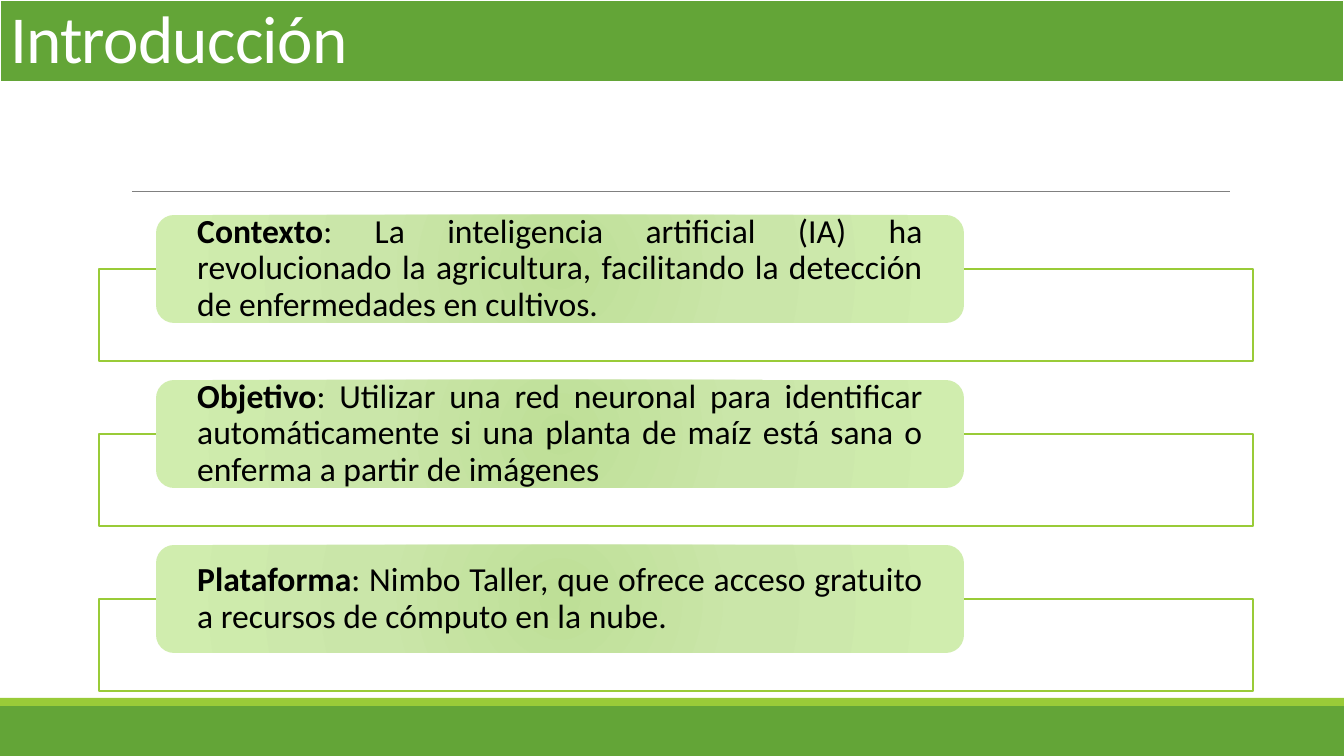
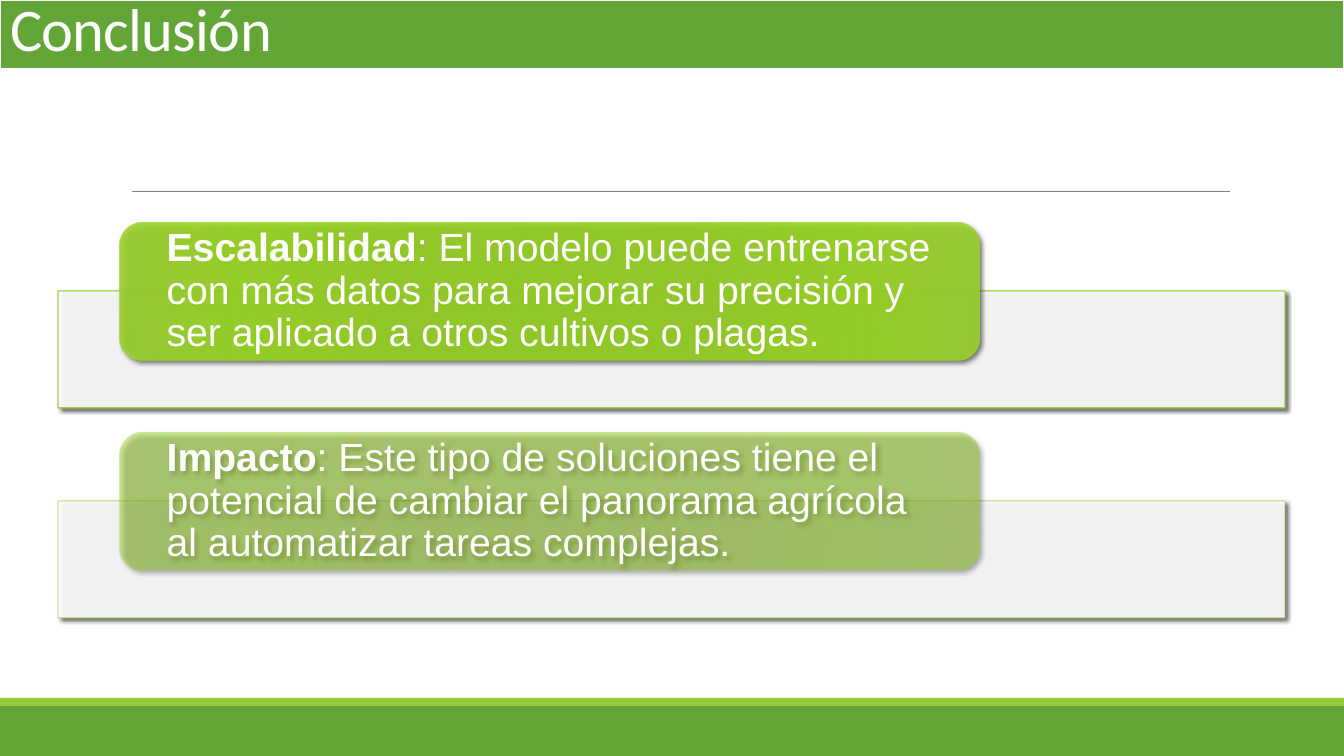
"""Build two slides of overlapping cards beneath a green title band."""
import lxml.etree
import pptx
import pptx.dml.color
import pptx.enum.shapes
import pptx.enum.text
import pptx.oxml.ns
import pptx.util

PX = 9071
GREEN, LIME, GREY, WHITE, BLACK = "63A537", "99CB38", "808080", "FFFFFF", "000000"
NS = 'xmlns:a="http://schemas.openxmlformats.org/drawingml/2006/main"'
KINDS = pptx.enum.shapes.MSO_SHAPE
ALIGN = pptx.enum.text.PP_ALIGN
ANCHOR = pptx.enum.text.MSO_ANCHOR
qn = pptx.oxml.ns.qn
color = pptx.dml.color.RGBColor.from_string


def box(page, kind, x, y, w, h, fill=None, line=None, weight=1, alphas=(), shade=False):
    shape = page.shapes.add_shape(kind, x * PX, y * PX, w * PX, h * PX)
    shape.shadow.inherit = False
    if fill:
        shape.fill.solid()
        shape.fill.fore_color.rgb = color(fill)
    else:
        shape.fill.background()
    if line:
        shape.line.color.rgb = color(line)
        shape.line.width = pptx.util.Pt(weight)
    else:
        shape.line.fill.background()
    props = shape._element.spPr
    for tone, alpha in zip(props.iter(qn("a:srgbClr")), alphas):
        lxml.etree.SubElement(tone, qn("a:alpha"), val=str(alpha * 1000))
    if shade:
        props.find(qn("a:effectLst")).append(lxml.etree.fromstring(
            f'<a:outerShdw {NS} blurRad="38100" dist="25400" dir="2700000" rotWithShape="0">'
            f'<a:srgbClr val="{BLACK}"><a:alpha val="60000"/></a:srgbClr></a:outerShdw>'))
    return shape


def write(shape, *texts, size, font, ink, bold=False, space=0.9, track=0,
          align=ALIGN.LEFT, anchor=ANCHOR.MIDDLE, side=10, edge=0):
    frame = shape.text_frame
    frame.word_wrap = True
    frame.vertical_anchor = anchor
    frame.margin_left = frame.margin_right = side * PX
    frame.margin_top = frame.margin_bottom = edge * PX
    para = frame.paragraphs[0]
    para.alignment = align
    para.line_spacing = space
    for num, text in enumerate(texts):
        run = para.add_run()
        run.text = text
        run.font.size = pptx.util.Pt(size)
        run.font.name = font
        run.font.color.rgb = color(ink)
        run.font.bold = bold and num == 0
        if track:
            run._r.get_or_add_rPr().set("spc", str(track))


PALE = [(0, "BEDF97"), (45, "CAE6A9"), (100, "D0EDAE")]
VIVID = [(0, "95D220"), (34, "96D023"), (70, "99D720"), (100, "9BD231")]
PAGES = [
    dict(title="Introducción", size=48, band=82, stops=PALE, shade=False, pitch=165,
         frame=(99, 269, 1154, 92), card=(156, 215, 808, 108),
         style=dict(size=24, font="Calibri", ink=BLACK, align=ALIGN.JUSTIFY, side=36),
         items=[
             ("Contexto", ": La inteligencia artificial (IA) ha revolucionado la agricultura, "
              "facilitando la detección de enfermedades en cultivos.", 100),
             ("Objetivo", ": Utilizar una red neuronal para identificar automáticamente si una "
              "planta de maíz está sana o enferma a partir de imágenes", 100),
             ("Plataforma", ": Nimbo Taller, que ofrece acceso gratuito a recursos de cómputo "
              "en la nube.", 100)]),
    dict(title="Conclusión", size=43.2, band=69, stops=VIVID, shade=True, pitch=210,
         frame=(58, 291, 1227, 117), card=(120, 223, 859, 137),
         style=dict(size=28, font="Arial", ink=WHITE, side=40),
         items=[
             ("Escalabilidad", ": El modelo puede entrenarse con más datos para mejorar su "
              "precisión y ser aplicado a otros cultivos o plagas.", 90),
             ("Impacto", ": Este tipo de soluciones tiene el potencial de cambiar el panorama "
              "agrícola al automatizar tareas complejas.", 50)]),
]

deck = pptx.Presentation()
deck.slide_width, deck.slide_height = 1344 * PX, 756 * PX

for plan in PAGES:
    page = deck.slides.add_slide(deck.slide_layouts[6])
    box(page, KINDS.RECTANGLE, 0, 706, 1344, 50, GREEN)
    box(page, KINDS.RECTANGLE, 0, 698, 1344, 8, LIME)
    rule = page.shapes.add_connector(pptx.enum.shapes.MSO_CONNECTOR.STRAIGHT,
                                     132 * PX, 191 * PX, 1230 * PX, 191 * PX)
    rule.line.color.rgb = color(GREY)
    rule.line.width = pptx.util.Pt(0.5)
    lxml.etree.SubElement(rule._element.spPr, qn("a:effectLst"))
    band = box(page, KINDS.RECTANGLE, 0, 0, 1344, plan["band"], GREEN, WHITE, 2)
    write(band, plan["title"], size=plan["size"], font="Calibri", ink=WHITE,
          space=0.85, track=-50, anchor=ANCHOR.BOTTOM, edge=5)

    for row, (head, body, alpha) in enumerate(plan["items"]):
        drop = row * plan["pitch"]
        x, y, w, h = plan["frame"]
        box(page, KINDS.RECTANGLE, x, y + drop, w, h, WHITE, LIME,
            alphas=(90, alpha), shade=plan["shade"])
        x, y, w, h = plan["card"]
        card = box(page, KINDS.ROUNDED_RECTANGLE, x, y + drop, w, h, shade=plan["shade"])
        stops = "".join(
            f'<a:gs pos="{place * 1000}"><a:srgbClr val="{tone}">'
            f'<a:alpha val="{alpha * 1000}"/></a:srgbClr></a:gs>'
            for place, tone in plan["stops"])
        blend = lxml.etree.fromstring(
            f'<a:gradFill {NS} rotWithShape="1"><a:gsLst>{stops}</a:gsLst><a:path path="circle">'
            '<a:fillToRect l="100000" t="100000" r="100000" b="100000"/></a:path></a:gradFill>')
        props = card._element.spPr
        props.replace(props.find(qn("a:noFill")), blend)
        write(card, head, body, bold=True, **plan["style"])

deck.save("out.pptx")
